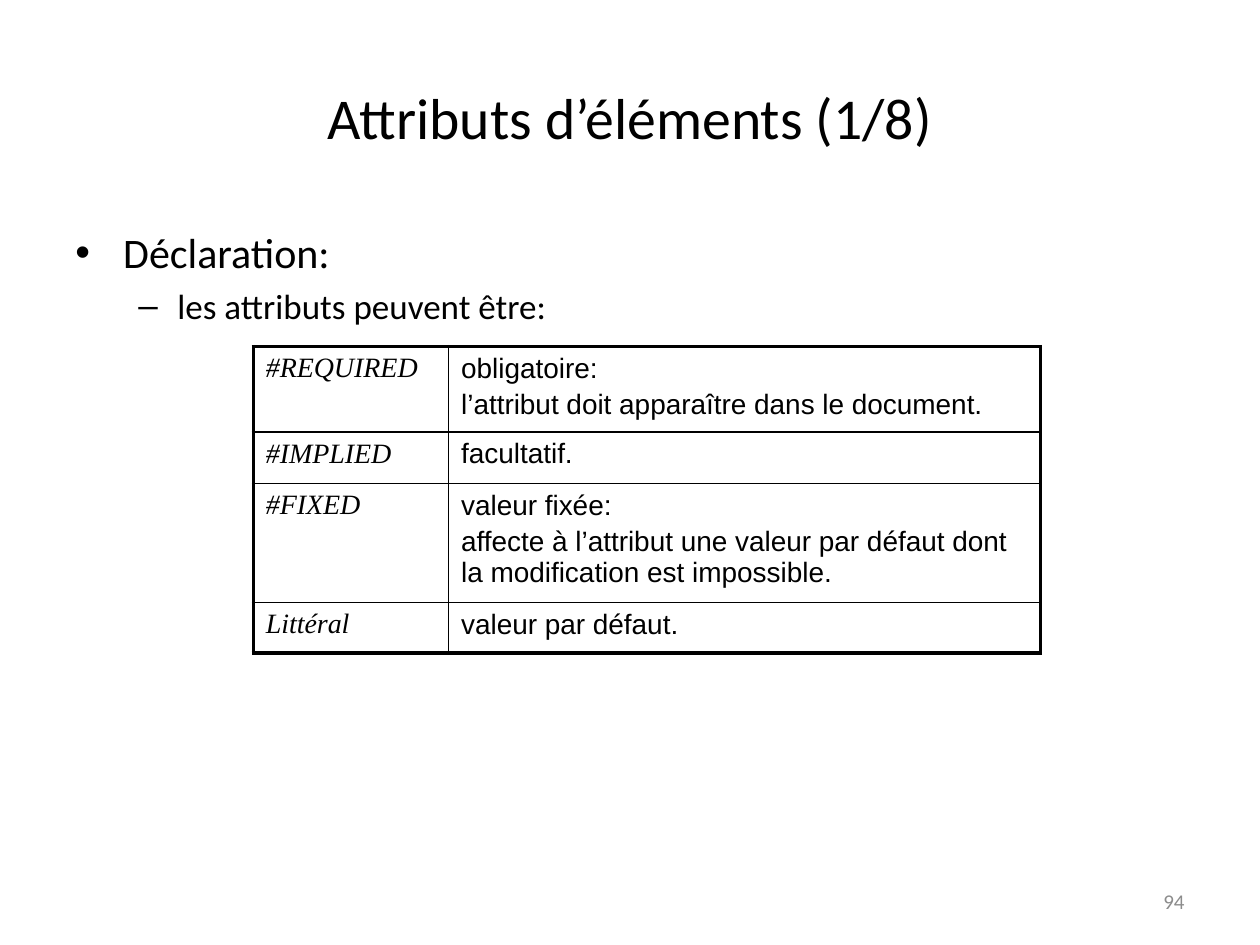
from lxml import etree
from pptx import Presentation
from pptx.dml.color import RGBColor
from pptx.enum import text
from pptx.oxml.ns import qn
from pptx.util import Inches, Pt

BLACK = RGBColor(0x00, 0x00, 0x00)
GREY = RGBColor(0x8C, 0x8C, 0x8C)

ATTRIBUTE_DEFAULTS = [
    ("#REQUIRED", ["obligatoire:", "l’attribut doit apparaître dans le document."]),
    ("#IMPLIED", ["facultatif."]),
    ("#FIXED", ["valeur fixée:",
                "affecte à l’attribut une valeur par défaut dont la modification est impossible."]),
    ("Littéral", ["valeur par défaut."]),
]
COLUMN_WIDTHS = [1.55, 4.7]
ROW_HEIGHTS = [0.63, 0.41, 0.64, 0.4]


def write(para, words, font="Calibri", size=16, color=BLACK, italic=False,
          align=text.PP_ALIGN.LEFT, before=0):
    para.alignment = align
    para.space_before = Pt(before)
    span = para.add_run()
    span.text = words
    span.font.name = font
    span.font.size = Pt(size)
    span.font.color.rgb = color
    span.font.italic = italic


def add_box(page, left, top, width, height, anchor=text.MSO_ANCHOR.TOP):
    frame = page.shapes.add_textbox(
        Inches(left), Inches(top), Inches(width), Inches(height)).text_frame
    frame.word_wrap = True
    frame.vertical_anchor = anchor
    return frame


def set_bullet(para, symbol, margin, indent):
    properties = para._p.get_or_add_pPr()
    properties.set("marL", str(Inches(margin)))
    properties.set("indent", str(Inches(indent)))
    etree.SubElement(properties, qn("a:buFont"), typeface="Arial")
    etree.SubElement(properties, qn("a:buChar"), char=symbol)


def set_borders(cell, widths):
    properties = cell._tc.get_or_add_tcPr()
    for index, (side, width) in enumerate(zip("LRTB", widths)):
        line = etree.Element(qn(f"a:ln{side}"), w=str(Pt(width)))
        fill = etree.SubElement(line, qn("a:solidFill"))
        etree.SubElement(fill, qn("a:srgbClr"), val=str(BLACK))
        properties.insert(index, line)


def fill_cell(cell, lines, **style):
    cell.fill.background()
    frame = cell.text_frame
    for index, words in enumerate(lines):
        para = frame.add_paragraph() if index else frame.paragraphs[0]
        write(para, words, before=3.2 if index else 0, **style)


def add_title(page):
    title = page.shapes.title
    title.left, title.top = Inches(0.5), Inches(0.3)
    title.width, title.height = Inches(9), Inches(1.25)
    title.text_frame.vertical_anchor = text.MSO_ANCHOR.MIDDLE
    write(title.text_frame.paragraphs[0], "Attributs d’éléments (1/8)",
          size=33, align=text.PP_ALIGN.CENTER)


def add_outline(page):
    frame = add_box(page, 0.5, 1.75, 6.87, 4.95)
    heading = frame.paragraphs[0]
    set_bullet(heading, "•", 0.38, -0.38)
    write(heading, "Déclaration:", size=24)
    detail = frame.add_paragraph()
    detail.level = 1
    set_bullet(detail, "–", 0.81, -0.31)
    write(detail, "les attributs peuvent être:", size=20, before=4)


def add_defaults_table(page):
    table = page.shapes.add_table(
        len(ROW_HEIGHTS), len(COLUMN_WIDTHS), Inches(2.01), Inches(2.75),
        Inches(sum(COLUMN_WIDTHS)), Inches(sum(ROW_HEIGHTS))).table
    table.first_row = table.horz_banding = False
    for column, width in zip(table.columns, COLUMN_WIDTHS):
        column.width = Inches(width)
    last = len(ROW_HEIGHTS) - 1
    for index, (keyword, meaning) in enumerate(ATTRIBUTE_DEFAULTS):
        table.rows[index].height = Inches(ROW_HEIGHTS[index])
        top = 2.25 if index == 0 else 1
        bottom = 2.25 if index == last else 1
        name, description = table.cell(index, 0), table.cell(index, 1)
        fill_cell(name, [keyword], font="Times New Roman", italic=True)
        fill_cell(description, meaning, font="Arial")
        set_borders(name, (2.25, 1, top, bottom))
        set_borders(description, (1, 2.25, top, bottom))


def add_page_number(page):
    frame = add_box(page, 7.17, 6.95, 2.33, 0.4, text.MSO_ANCHOR.MIDDLE)
    write(frame.paragraphs[0], "94", size=12, color=GREY, align=text.PP_ALIGN.RIGHT)


def main():
    deck = Presentation()
    deck.slide_width, deck.slide_height = Inches(10), Inches(7.5)
    page = deck.slides.add_slide(deck.slide_layouts[5])
    add_title(page)
    add_outline(page)
    add_defaults_table(page)
    add_page_number(page)
    deck.save("out.pptx")


if __name__ == "__main__":
    main()
